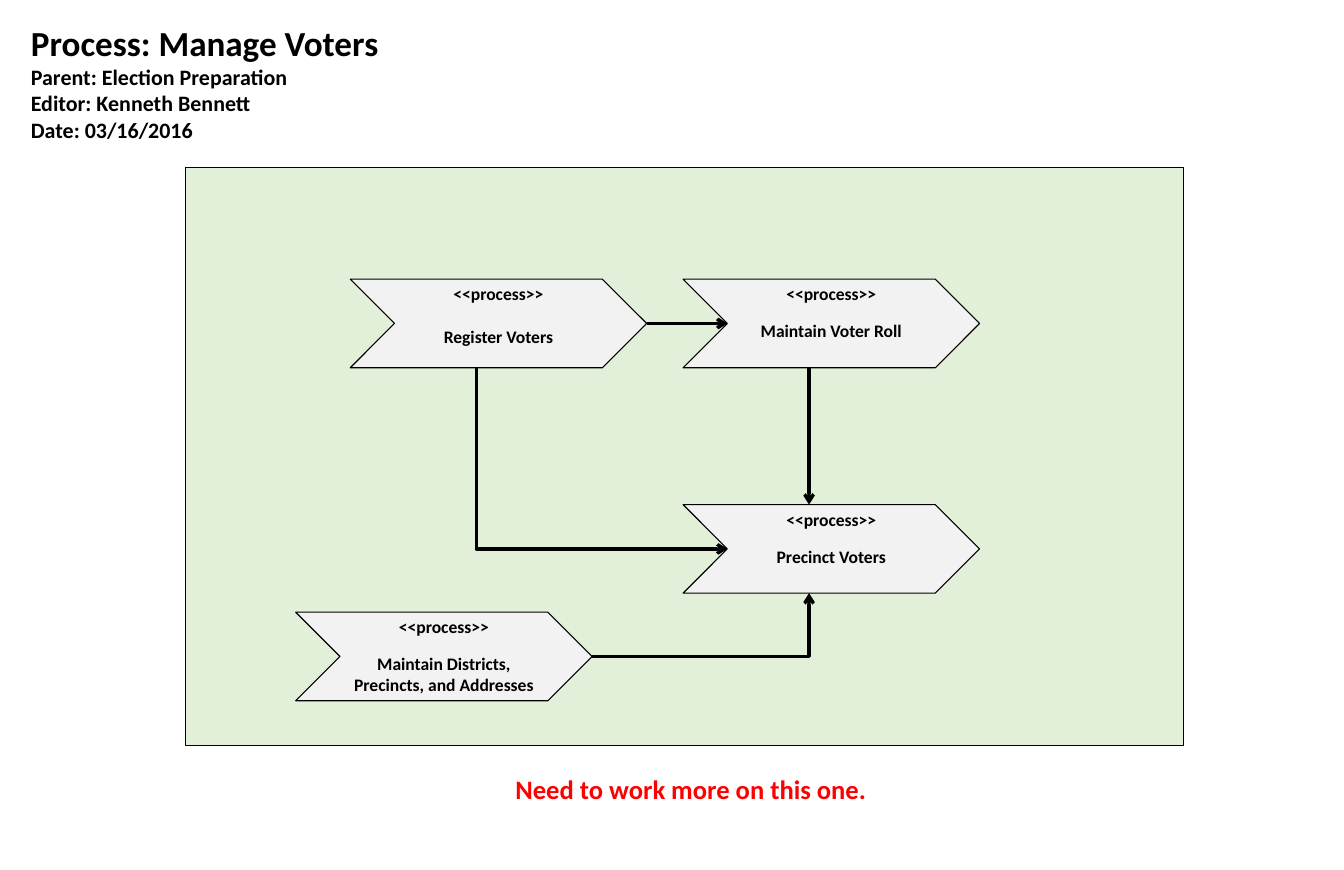
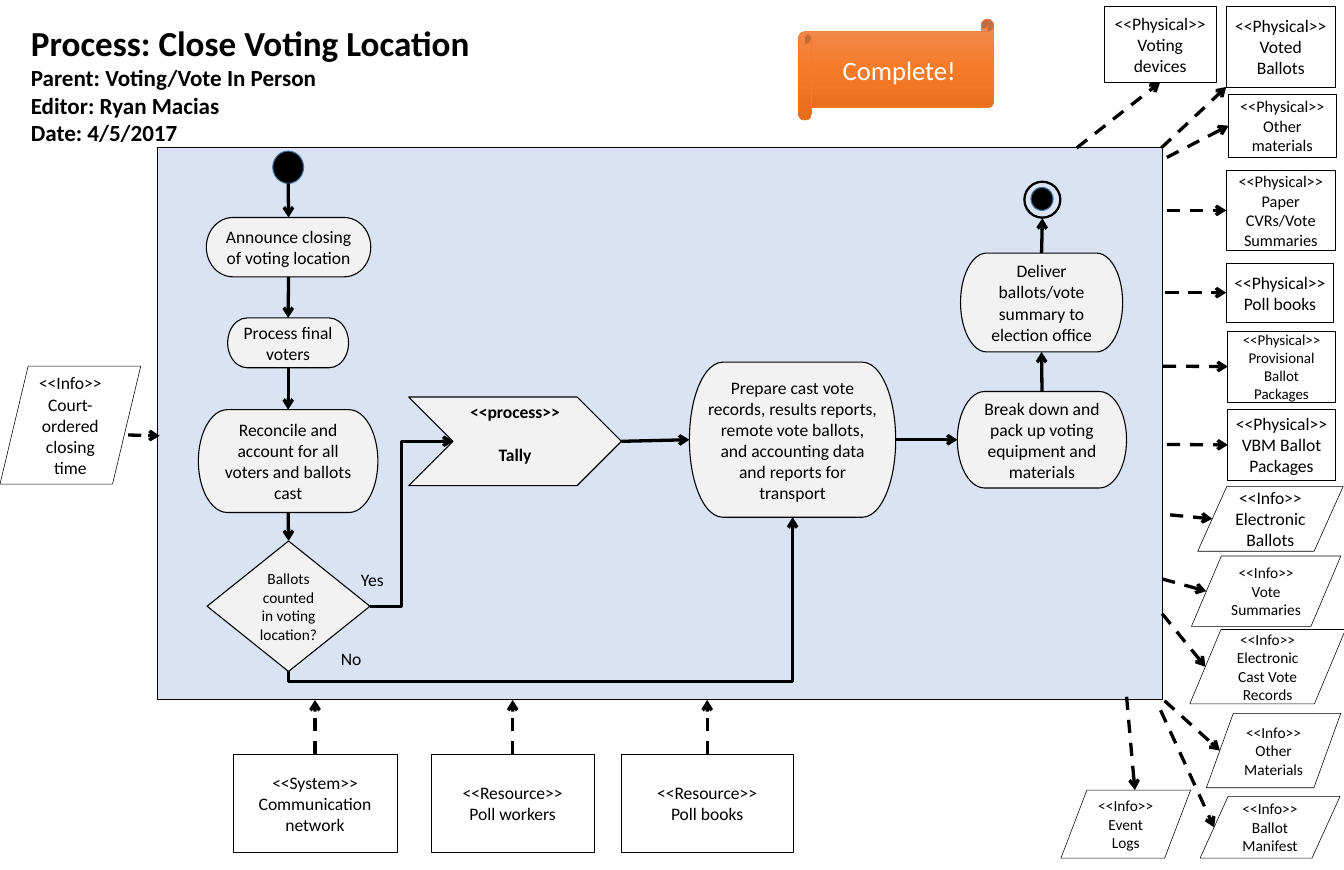
from copy import deepcopy

from lxml import etree
from pptx import Presentation
from pptx import util as u
from pptx.dml.color import RGBColor
from pptx.enum import dml, shapes, text
from pptx.oxml.ns import qn

# Page grid: 17 columns by 11 rows; every box is (column, row, columns, rows)
WIDTH, HEIGHT = u.Inches(17), u.Inches(11)
COL, ROW = WIDTH / 17, HEIGHT / 11

# Shared look
FONT = "Calibri"
BLACK, WHITE, RED, STEP_GREY = "000000", "FFFFFF", "FF0000", "F2F2F2"
GREEN_PANEL, BLUE_PANEL, DOT_EDGE = "E2F0D9", "DAE3F3", "43739E"
BANNER_STOPS = ((0, "F18C57"), (0.5, "F67B28"), (1, "E56C19"))
BANNER_EDGE = "ED7D31"
TITLE_BOX = (0.29, 0.22, 9.66, 0.6)
DETAIL_BOX = (0.29, 0.8, 9.66, 1.06)
PLAIN_FRAME = dict(word_wrap=True, auto_size=text.MSO_AUTO_SIZE.NONE)

# Shape kinds
KIND = shapes.MSO_SHAPE
PANEL, CHEVRON, DOT, RING = KIND.RECTANGLE, KIND.CHEVRON, KIND.FLOWCHART_CONNECTOR, KIND.DONUT
STEP, DECISION = KIND.FLOWCHART_TERMINATOR, KIND.FLOWCHART_DECISION
ITEM, INFO = KIND.FLOWCHART_PROCESS, KIND.FLOWCHART_DATA

# Places on a box, as shares of its width and height
TOP, BOTTOM, LEFT, RIGHT = (0.5, 0), (0.5, 1), (0, 0.5), (1, 0.5)
NOTCH, FOOT, TALLY_NOTCH, SLANT = (0.15, 0.5), (0.425, 1), (0.21, 0.5), (0.1, 0.5)


def rgb(colour):
    return RGBColor.from_string(colour)


def apply(target, values):
    for name, value in values.items():
        setattr(target, name, value)


def place(box):
    col, row, cols, rows = box
    return round(col * COL), round(row * ROW), round(cols * COL), round(rows * ROW)


def spot(box, share):
    return box[0] + box[2] * share[0], box[1] + box[3] * share[1]


def write(frame, lines, size, colour=BLACK, bold=False, align=text.PP_ALIGN.CENTER, gap=0):
    """Write one paragraph per line; gap is the space between them in points."""
    for number, line in enumerate(lines):
        para = frame.paragraphs[0] if number == 0 else frame.add_paragraph()
        apply(para, dict(alignment=align, space_before=u.Pt(gap if number else 0)))
        run = para.add_run()
        run.text = line
        apply(run.font, dict(size=u.Pt(size), name=FONT, bold=bold))
        run.font.color.rgb = rgb(colour)


def add_box(parent, kind, box, fill=None, edge=BLACK, weight=1, anchor=text.MSO_ANCHOR.MIDDLE):
    shape = parent.shapes.add_shape(kind, *place(box))
    shape.shadow.inherit = False
    if fill:
        shape.fill.solid()
        shape.fill.fore_color.rgb = rgb(fill)
    else:
        shape.fill.background()
    shape.line.color.rgb = rgb(edge)
    shape.line.width = u.Pt(weight)
    apply(shape.text_frame, dict(PLAIN_FRAME, vertical_anchor=anchor))
    return shape


def add_step(slide, kind, box, label, size=16):
    write(add_box(slide, kind, box, STEP_GREY).text_frame, [label], size)


def add_process(slide, box, label, gap=14.6):
    chevron = add_box(slide, CHEVRON, box, STEP_GREY, anchor=text.MSO_ANCHOR.TOP)
    write(chevron.text_frame, ["<<process>>", label], 16, bold=True, gap=gap)


def add_item(slide, kind, box, stereotype, label, size=16):
    shape = add_box(slide, kind, box, weight=0.5)
    write(shape.text_frame, [f"<<{stereotype}>>", label], size)


def add_label(slide, box, label, size=16, **look):
    frame = slide.shapes.add_textbox(*place(box)).text_frame
    apply(frame, PLAIN_FRAME)
    write(frame, [label], size, **look)


def add_arrow(slide, start, end, dashed=False, kind=shapes.MSO_CONNECTOR.STRAIGHT):
    ends = (round(start[0] * COL), round(start[1] * ROW), round(end[0] * COL), round(end[1] * ROW))
    arrow = slide.shapes.add_connector(kind, *ends)
    arrow.line.color.rgb = rgb(BLACK)
    arrow.line.width = u.Pt(3)
    if dashed:
        arrow.line.dash_style = dml.MSO_LINE.DASH
    properties = arrow._element.spPr
    etree.SubElement(properties.find(qn("a:ln")), qn("a:tailEnd")).set("type", "arrow")
    etree.SubElement(properties, qn("a:effectLst"))
    return properties


def add_elbow(slide, start, end, upright=False, bend=None):
    """Bent arrow: one corner, or two when bend gives the share of the first leg."""
    if upright:  # leaves vertically: a sideways connector turned about its centre
        (x1, y1), (x2, y2) = start, end
        down = y2 > y1
        middle, centre = (x1 + x2) / 2, (y1 + y2) / 2
        half_w, half_h = abs(y2 - y1) / 2, abs(x2 - x1) / 2
        if (x1 > x2) == down:
            half_h = -half_h
        start, end = (middle + half_w, centre - half_h), (middle - half_w, centre + half_h)
    properties = add_arrow(slide, start, end, kind=shapes.MSO_CONNECTOR.ELBOW)
    if upright:
        properties.find(qn("a:xfrm")).set("rot", str((270 if down else 90) * 60000))
    geometry = properties.find(qn("a:prstGeom"))
    if bend is None:
        geometry.set("prst", "bentConnector2")
    else:
        guide = etree.SubElement(geometry.find(qn("a:avLst")), qn("a:gd"))
        guide.set("name", "adj1")
        guide.set("fmla", f"val {round(bend * 100000)}")


def add_banner(slide, box, label):
    banner = add_box(slide, KIND.HORIZONTAL_SCROLL, box, edge=BANNER_EDGE, weight=0.5)
    banner.fill.gradient()
    banner.fill.gradient_angle = 270
    stop_list = banner._element.spPr.find(".//" + qn("a:gsLst"))
    stop_list.append(deepcopy(stop_list[0]))
    for stop, (position, colour) in zip(banner.fill.gradient_stops, BANNER_STOPS):
        stop.position = position
        stop.color.rgb = rgb(colour)
    write(banner.text_frame, [label], 24.2, WHITE)


def start_slide(deck, title, details, detail_size, panel, panel_colour):
    slide = deck.slides.add_slide(deck.slide_layouts[1])
    heading, facts = slide.placeholders
    for holder, box, lines, size in ((heading, TITLE_BOX, [title], 32),
                                     (facts, DETAIL_BOX, details, detail_size)):
        apply(holder, dict(zip(("left", "top", "width", "height"), place(box))))
        apply(holder.text_frame, dict(PLAIN_FRAME, vertical_anchor=text.MSO_ANCHOR.TOP))
        write(holder.text_frame, lines, size, bold=True, align=text.PP_ALIGN.LEFT)
    facts.text_frame.margin_top = 0
    for para in facts.text_frame.paragraphs:  # no bullets, no hanging indent
        settings = para._p.get_or_add_pPr()
        settings.set("marL", "0")
        settings.set("indent", "0")
        etree.SubElement(settings, qn("a:buNone"))
    add_box(slide, PANEL, panel, panel_colour)
    return slide


def manage_voters(deck):
    slide = start_slide(
        deck, "Process: Manage Voters",
        ["Parent: Election Preparation", "Editor: Kenneth Bennett", "Date: 03/16/2016"],
        20, (2.35, 2.12, 12.62, 7.31), GREEN_PANEL)

    # Processes
    size = (3.75, 1.12)
    register, roll = (4.43, 3.53, *size), (8.64, 3.53, *size)
    precinct, districts = (8.64, 6.38, *size), (3.74, 7.74, *size)
    add_process(slide, register, "Register Voters", gap=19.5)
    add_process(slide, roll, "Maintain Voter Roll")
    add_process(slide, precinct, "Precinct Voters")
    add_process(slide, districts, "Maintain Districts, Precincts, and Addresses")

    # Flow
    add_arrow(slide, spot(register, RIGHT), spot(roll, NOTCH))
    add_arrow(slide, spot(roll, FOOT), spot(precinct, (FOOT[0], 0)))
    add_elbow(slide, spot(register, FOOT), spot(precinct, NOTCH), upright=True)
    add_elbow(slide, spot(districts, RIGHT), spot(precinct, FOOT))

    add_label(slide, (6.42, 9.72, 8.02, 0.51), "Need to work more on this one.", 24.2,
              colour=RED, bold=True, align=text.PP_ALIGN.LEFT)


def close_location(deck):
    panel = (1.99, 1.87, 12.71, 6.98)
    slide = start_slide(
        deck, "Process: Close Voting Location",
        ["Parent: Voting/Vote In Person", "Editor: Ryan Macias", "Date: 4/5/2017"],
        21, panel, BLUE_PANEL)

    # Start and end marks
    start, ring = (3.45, 1.91, 0.39, 0.41), (12.95, 2.29, 0.47, 0.47)
    add_box(slide, DOT, start, BLACK, DOT_EDGE)
    finish = slide.shapes.add_group_shape()
    add_box(finish, RING, ring, BLACK).adjustments[0] = 0.032
    add_box(finish, DOT, (13.04, 2.37, 0.28, 0.29), BLACK, DOT_EDGE)

    # Steps
    announce, final = (2.61, 2.75, 2.08, 0.75), (2.88, 4.02, 1.53, 0.63)
    reconcile, counted = (2.51, 5.18, 2.27, 1.3), (2.62, 6.84, 2.06, 1.65)
    tally, prepare = (5.17, 5.02, 2.69, 1.12), (8.72, 4.58, 2.61, 1.96)
    pack, deliver = (12.11, 4.95, 2.14, 1.22), (12.15, 3.2, 2.05, 1.25)
    for box, label in (
            (announce, "Announce closing of voting location"),
            (final, "Process final voters"),
            (reconcile, "Reconcile and account for all voters and ballots cast"),
            (prepare, "Prepare cast vote records, results reports, remote vote ballots, "
                      "and accounting data and reports for transport"),
            (pack, "Break down and pack up voting equipment and materials"),
            (deliver, "Deliver ballots/vote summary to election office")):
        add_step(slide, STEP, box, label)
    add_step(slide, DECISION, counted, "Ballots counted in voting location?", 14)
    add_process(slide, tally, "Tally", gap=19.5)

    # Flow
    down = (start, announce, final, reconcile, counted)
    up = (pack, deliver, ring)
    across = (tally, prepare, pack)
    for chain, leave, arrive in ((down, BOTTOM, TOP), (up, TOP, BOTTOM), (across, RIGHT, LEFT)):
        for before, after in zip(chain, chain[1:]):
            add_arrow(slide, spot(before, leave), spot(after, arrive))
    add_elbow(slide, spot(counted, RIGHT), spot(tally, TALLY_NOTCH), bend=0.381)
    add_elbow(slide, spot(counted, BOTTOM), spot(prepare, BOTTOM), upright=True, bend=-0.064)
    add_label(slide, (4.37, 7.14, 0.68, 0.37), "Yes")
    add_label(slide, (4.1, 8.14, 0.68, 0.37), "No")

    # Inputs
    court = (0, 4.63, 1.78, 1.49)
    add_item(slide, INFO, court, "Info", "Court-ordered closing time")
    add_arrow(slide, (1.62, 5.5), (2.02, 5.51), dashed=True)
    for col, cols, stereotype, label in ((2.95, 2.07, "System", "Communication network"),
                                         (5.45, 2.07, "Resource", "Poll workers"),
                                         (7.86, 2.17, "Resource", "Poll books")):
        box = (col, 9.54, cols, 1.23)
        add_item(slide, ITEM, box, stereotype, label)
        middle, top = spot(box, TOP)
        add_arrow(slide, (middle, top), (middle, panel[1] + panel[3]), dashed=True)

    # Outputs: box, label, text size, arrow start, arrow end on the box
    physical = (
        ((13.97, 0.08, 1.41, 0.96), "Voting devices", 16, (13.62, 1.87), BOTTOM),
        ((15.51, 0.08, 1.38, 1.02), "Voted Ballots", 16, (14.69, 1.87), (0, 1)),
        ((15.54, 1.19, 1.36, 0.8), "Other materials", 14.8, (14.76, 1.99), LEFT),
        ((15.51, 2.15, 1.38, 1.02), "Paper CVRs/Vote Summaries", 14.8, (14.76, 2.66), LEFT),
        ((15.51, 3.33, 1.36, 0.74), "Poll books", 16, (14.74, 3.7), LEFT),
        ((15.53, 4.19, 1.36, 0.89), "Provisional Ballot Packages", 13.6, (14.71, 4.63), LEFT),
        ((15.53, 5.18, 1.36, 0.89), "VBM Ballot Packages", 16, (14.76, 5.62), LEFT))
    info = (
        ((15.15, 6.15, 1.84, 0.82), "Electronic Ballots", 16, (14.8, 6.51), SLANT),
        ((15.07, 7.03, 1.89, 0.89), "Vote Summaries", 14, (14.7, 7.32), SLANT),
        ((15.05, 7.96, 1.97, 0.94), "Electronic Cast Vote Records", 14, (14.7, 7.76), SLANT),
        ((15.26, 9.02, 1.7, 0.94), "Other Materials", 14, (14.73, 8.86), SLANT),
        ((15.18, 10.07, 1.77, 0.78), "Ballot Manifest", 14, (14.68, 8.98), SLANT),
        ((13.42, 9.99, 1.64, 0.86), "Event Logs", 14, (14.25, 8.81), (0.57, 0)))
    for kind, stereotype, outputs in ((ITEM, "Physical", physical), (INFO, "Info", info)):
        for box, label, size, origin, target in outputs:
            add_item(slide, kind, box, stereotype, label, size)
            add_arrow(slide, origin, spot(box, target), dashed=True)

    add_banner(slide, (10.1, 0.24, 2.47, 1.28), "Complete!")


def main():
    deck = Presentation()
    apply(deck, dict(slide_width=WIDTH, slide_height=HEIGHT))
    manage_voters(deck)
    close_location(deck)
    deck.save("out.pptx")


if __name__ == "__main__":
    main()
